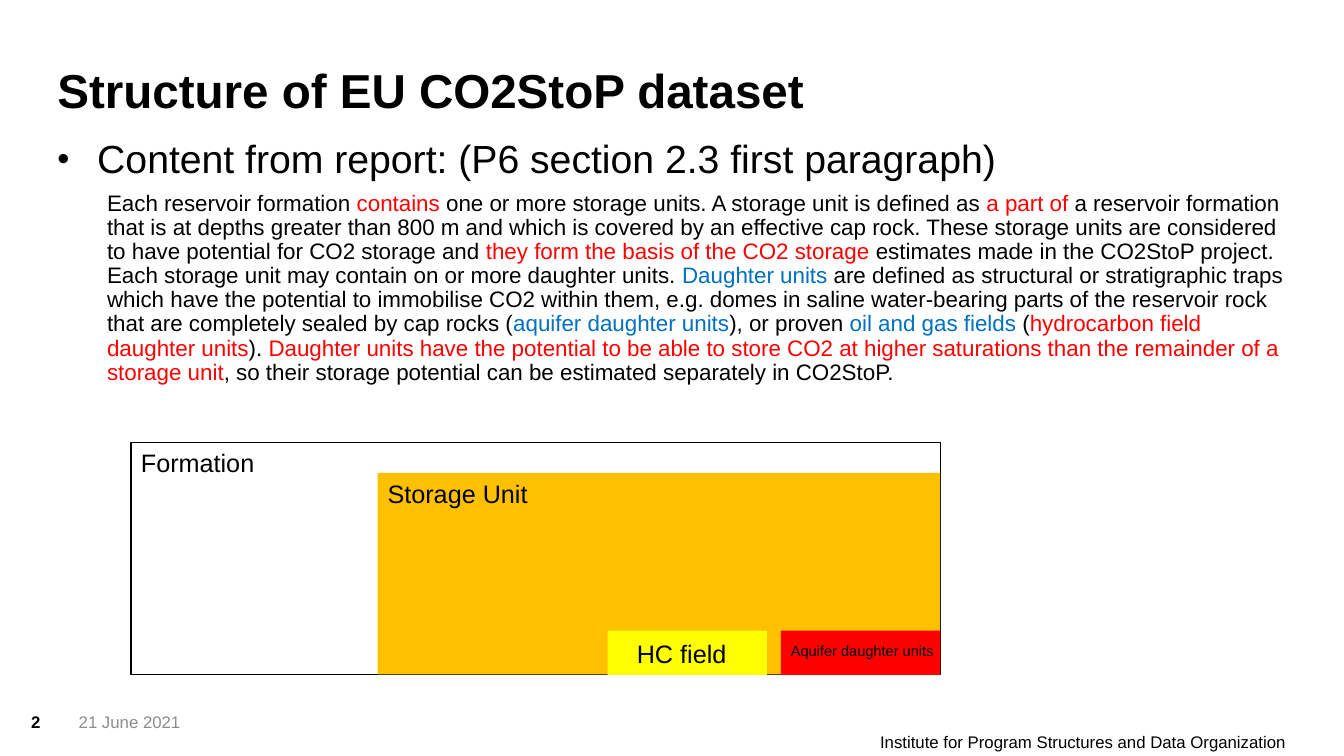
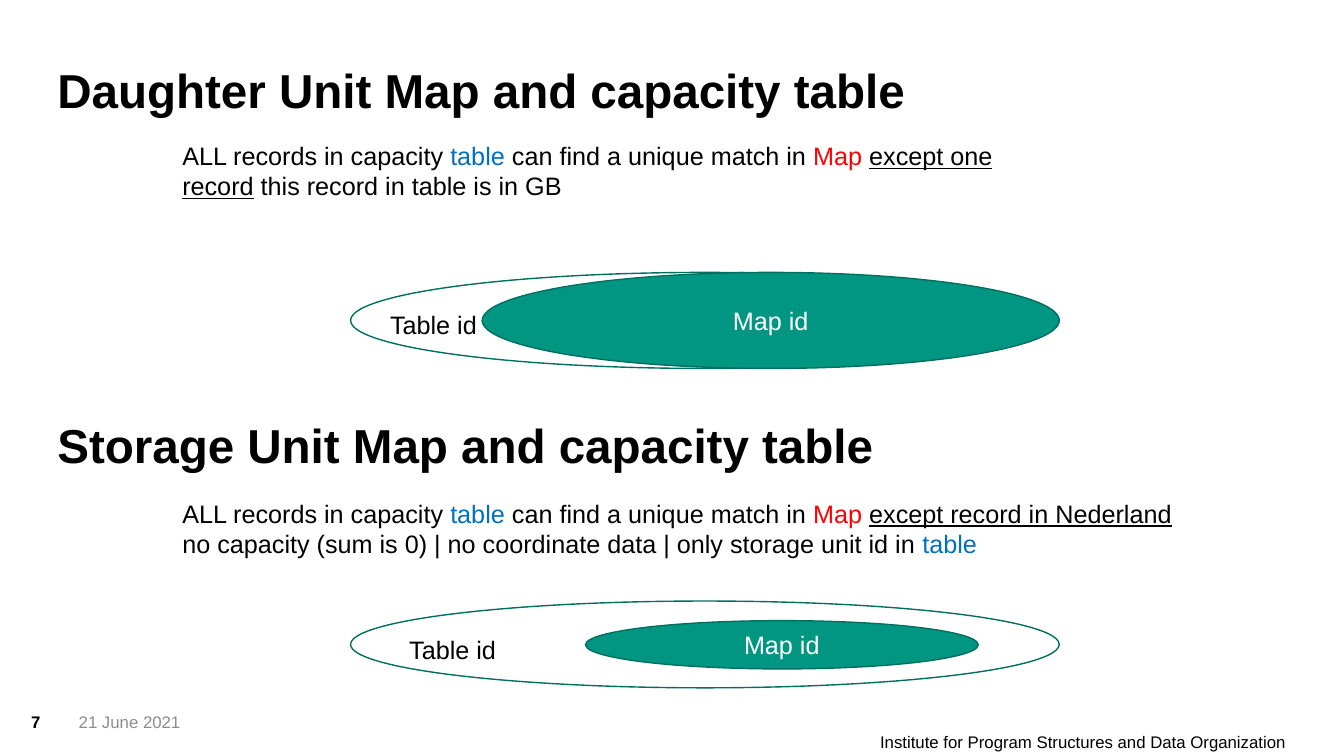
from dataclasses import dataclass

from lxml import etree
from pptx import Presentation
from pptx.dml.color import RGBColor
from pptx.enum.shapes import MSO_SHAPE
from pptx.enum.text import MSO_ANCHOR, MSO_AUTO_SIZE, PP_ALIGN
from pptx.oxml.ns import qn
from pptx.util import Pt

RECT, OVAL = MSO_SHAPE.RECTANGLE, MSO_SHAPE.OVAL
TOP, MIDDLE, BOTTOM = MSO_ANCHOR.TOP, MSO_ANCHOR.MIDDLE, MSO_ANCHOR.BOTTOM
LEFT, CENTER, RIGHT = PP_ALIGN.LEFT, PP_ALIGN.CENTER, PP_ALIGN.RIGHT
FIXED = MSO_AUTO_SIZE.NONE
TITLE_ONLY = 5


@dataclass(frozen=True)
class Theme:
    font: str = "Arial"
    black: str = "000000"
    white: str = "FFFFFF"
    gray: str = "8C8C8C"
    red: str = "FF0000"
    blue: str = "0070C0"
    amber: str = "FFC000"
    yellow: str = "FFFF00"
    green: str = "009682"
    edge: str = "006F60"
    title: float = 34
    lead: float = 28
    label: float = 18
    body: float = 16
    foot: float = 12
    small: float = 10.5


T = Theme()
RED, BLUE, UNDER = {"color": T.red}, {"color": T.blue}, {"under": True}


class Deck:
    def __init__(self):
        self.show = Presentation()
        self.show.slide_width, self.show.slide_height = Pt(960), Pt(540)
        self.slide = None

    def start(self, title, number):
        layout = self.show.slide_layouts[TITLE_ONLY]
        self.slide = self.show.slides.add_slide(layout)
        self.head(title, 35.3, self.slide.shapes.title)
        self.text((622.8, 508.3, 296, 28.8),
                  ["Institute for Program Structures and Data Organization"],
                  T.foot, align=RIGHT, anchor=BOTTOM, inset=False)
        self.text((56.2, 508.3, 134, 28.8), ["21 June 2021"],
                  T.foot, T.gray, inset=False)
        self.text((22.3, 508.3, 34, 28.8), [number],
                  T.foot, bold=True, inset=False)

    def head(self, title, top, box=None):
        at = (41, top, 723, 49.7)
        box = box or self.slide.shapes.add_textbox(*map(Pt, at))
        box.left, box.top, box.width, box.height = map(Pt, at)
        self.fill(box.text_frame, [title], T.title, bold=True,
                  anchor=BOTTOM, inset=False, space=0.9)

    def text(self, at, lines, size, color=T.black, host=None, **style):
        host = host or self.slide
        box = host.shapes.add_textbox(*map(Pt, at))
        self.fill(box.text_frame, lines, size, color, **style)
        return box.text_frame

    def fill(self, frame, lines, size, color=T.black, bold=False, align=LEFT,
             anchor=TOP, inset=True, space=None):
        frame.word_wrap = True
        frame.auto_size = FIXED
        frame.vertical_anchor = anchor
        if not inset:
            frame.margin_left = frame.margin_right = 0
            frame.margin_top = frame.margin_bottom = 0
        for i, line in enumerate(lines):
            para = frame.add_paragraph() if i else frame.paragraphs[0]
            para.alignment = align
            if space:
                para.line_spacing = space
            self.font(para.font, size, color, bold)
            for part in [line] if isinstance(line, str) else line:
                words, mark = (part, {}) if isinstance(part, str) else part
                run = para.add_run()
                run.text = words
                if "color" in mark:
                    run.font.color.rgb = RGBColor.from_string(mark["color"])
                if "under" in mark:
                    run.font.underline = True

    def font(self, font, size, color, bold):
        font.name, font.size, font.bold = T.font, Pt(size), bold
        font.color.rgb = RGBColor.from_string(color)

    def bullet(self, para, indent):
        props = para._p.get_or_add_pPr()
        props.set("marL", str(Pt(indent)))
        props.set("indent", str(-Pt(indent)))
        last = props.find(qn("a:defRPr"))
        for tag, key, value in (("a:buSzPct", "val", "88000"),
                                ("a:buFont", "typeface", T.font),
                                ("a:buChar", "char", "•")):
            node = etree.Element(qn(tag))
            node.set(key, value)
            last.addprevious(node)

    def shape(self, kind, at, fill=None, line=None, host=None):
        host = host or self.slide
        item = host.shapes.add_shape(kind, *map(Pt, at))
        item.shadow.inherit = False
        if fill:
            item.fill.solid()
            item.fill.fore_color.rgb = RGBColor.from_string(fill)
        else:
            item.fill.background()
        if line:
            item.line.color.rgb = RGBColor.from_string(line)
            item.line.width = Pt(1)
        else:
            item.line.fill.background()
        return item

    def venn(self, outer, inner, label):
        group = self.slide.shapes.add_group_shape()
        self.shape(OVAL, outer, line=T.edge, host=group)
        core = self.shape(OVAL, inner, T.green, T.edge, group)
        self.fill(core.text_frame, ["Map id"], T.label, T.white,
                  align=CENTER, anchor=MIDDLE)
        self.text(label, ["Table id"], T.label, host=group)

    def match(self, top, width, *lines):
        first = ["ALL records in capacity", (" table ", BLUE),
                 "can find a unique match in ", ("Map ", RED), *lines[0]]
        self.text((123.1, top, width, 51), [first, *lines[1:]], T.label)


def dataset(deck):
    deck.start("Structure of EU CO2StoP dataset", "2")
    frame = deck.text(
        (41, 100, 878, 200),
        ["Content from report: (P6 section 2.3 first paragraph)"],
        T.lead, inset=False, space=0.9)
    lead = frame.paragraphs[0]
    lead.space_before = Pt(6)
    deck.bullet(lead, 28.5)
    story = [
        "Each reservoir formation ", ("contains", RED),
        " one or more storage units. A storage unit is defined as ",
        ("a part of ", RED),
        "a reservoir formation that is at depths greater than 800 m and "
        "which is covered by an effective cap rock. These storage units are "
        "considered to have potential for CO2 storage and ",
        ("they form the basis of the CO2 storage", RED),
        " estimates made in the CO2StoP project. Each storage unit may "
        "contain on or more daughter units. ",
        ("Daughter units ", BLUE),
        "are defined as structural or stratigraphic traps which have the "
        "potential to immobilise CO2 within them, e.g. domes in saline "
        "water-bearing parts of the reservoir rock that are completely "
        "sealed by cap rocks (",
        ("aquifer daughter units", BLUE), "), or proven ",
        ("oil and gas fields ", BLUE), "(",
        ("hydrocarbon field daughter units", RED), "). ",
        ("Daughter units have the potential to be able to store CO2 at "
         "higher saturations than the remainder of a storage unit", RED),
        ", so their storage potential can be estimated separately in "
        "CO2StoP.",
    ]
    deck.text((76.5, 137, 842.5, 150), [story], T.body,
              inset=False, space=0.9)

    deck.shape(RECT, (93.6, 316.2, 578, 165.5), line=T.black)
    deck.shape(RECT, (269.8, 337.8, 401.8, 144), T.amber)
    deck.shape(RECT, (434, 450.5, 113.8, 31.5), T.yellow)
    deck.shape(RECT, (557.8, 450.5, 113.8, 31.5), T.red)
    for left, top, width, name, size in (
            (93.6, 316.2, 127.5, "Formation", T.label),
            (269.8, 337.8, 127.5, "Storage Unit", T.label),
            (447.8, 452.4, 85.7, "HC field", T.label),
            (557.8, 455, 127.5, "Aquifer daughter units", T.small)):
        deck.text((left, top, width, 29), [name], size)


def tables(deck):
    deck.start("Daughter Unit Map and capacity table", "7")
    deck.venn((250.4, 194.6, 506.2, 68.6), (344.4, 194.6, 412.2, 68.6),
              (271.5, 217.7, 98, 22))
    deck.head("Storage Unit Map and capacity table", 288.9)
    deck.venn((250.4, 429.3, 506.2, 62), (418.2, 443.3, 280.6, 34.5),
              (285.2, 449.3, 98, 20))
    deck.match(352.3, 830, [("except record in Nederland", UNDER)],
               ["no capacity (sum is 0) | no coordinate data | "
                "only storage unit id in ", ("table", BLUE)])
    deck.match(96.7, 641, [("except one record", UNDER),
                           " this record in table is in GB"])


def main():
    deck = Deck()
    dataset(deck)
    tables(deck)
    deck.show.save("out.pptx")


if __name__ == "__main__":
    main()
